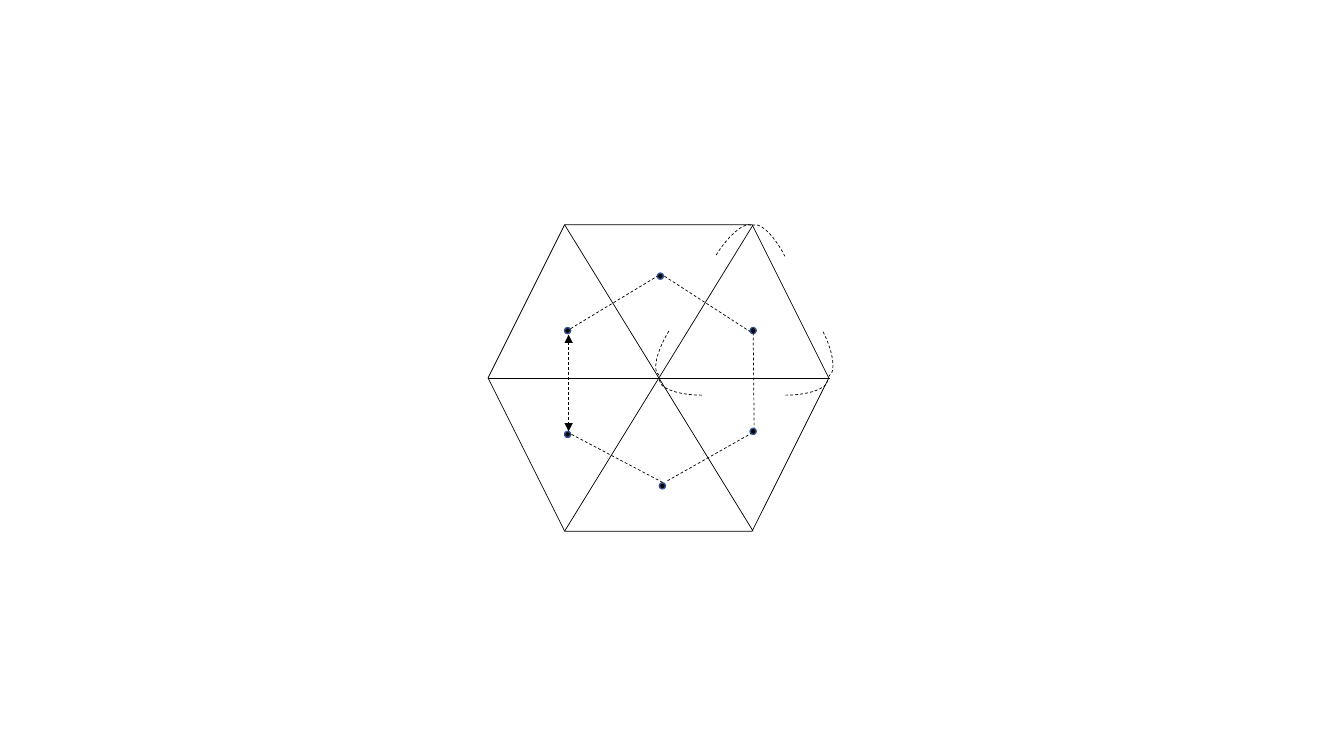
from dataclasses import dataclass

import pptx
import pptx.dml.color
import pptx.enum.dml
import pptx.enum.shapes
import pptx.oxml.ns
import pptx.shapes.autoshape
import pptx.shapes.connector
import pptx.shapes.shapetree
import pptx.util
from lxml import etree

Inches = pptx.util.Inches
Pt = pptx.util.Pt
MSO_SHAPE = pptx.enum.shapes.MSO_SHAPE
BLACK = pptx.dml.color.RGBColor(0x00, 0x00, 0x00)
DOT_EDGE = pptx.dml.color.RGBColor(0x32, 0x54, 0x91)
DOT_SIZE = 0.06
ARC_HEIGHT = 0.3
SECOND_QUADRANT = (107.955, 162.131)


@dataclass(frozen=True)
class Segment:
    x1: float
    y1: float
    x2: float
    y2: float
    dashed: bool = True
    arrows: bool = False


@dataclass(frozen=True)
class Dot:
    left: float
    top: float


@dataclass(frozen=True)
class Arc:
    left: float
    top: float
    width: float
    rotation: float
    second_quadrant: bool = False


DIAGONALS = (
    Segment(8.23, 3.75, 4.84, 3.75, dashed=False),
    Segment(7.47, 2.23, 5.6, 5.27, dashed=False),
    Segment(7.47, 5.27, 5.6, 2.23, dashed=False),
)
CENTROIDS = (
    Dot(6.52, 2.71),
    Dot(5.6, 3.25),
    Dot(5.6, 4.28),
    Dot(6.54, 4.79),
    Dot(7.44, 4.25),
    Dot(7.44, 3.25),
)
ANGLE_ARCS = (
    Arc(7.61, 3.21, 0.84, 63.3),
    Arc(7.23, 2.46, 0.84, 63.3, second_quadrant=True),
    Arc(6.54, 3.62, 0.84, 180),
    Arc(7.37, 3.62, 0.84, 180, second_quadrant=True),
    Arc(6.79, 2.46, 0.88, 302),
    Arc(6.33, 3.2, 0.88, 302, second_quadrant=True),
)
CENTROID_LINKS = (
    Segment(7.47, 3.25, 7.48, 4.25),
    Segment(6.62, 4.77, 7.45, 4.3),
    Segment(5.67, 4.31, 6.58, 4.79),
    Segment(6.59, 2.74, 7.44, 3.29),
    Segment(5.66, 3.26, 6.52, 2.74),
    Segment(5.64, 3.32, 5.64, 4.28, arrows=True),
)


def style_line(
    outlined: pptx.shapes.autoshape.Shape | pptx.shapes.connector.Connector,
    dashed: bool,
) -> None:
    outlined.line.color.rgb = BLACK
    outlined.line.width = Pt(0.5)
    if dashed:
        outlined.line.dash_style = pptx.enum.dml.MSO_LINE.DASH


def draw_segment(shapes: pptx.shapes.shapetree.GroupShapes, segment: Segment) -> None:
    connector = shapes.add_connector(
        pptx.enum.shapes.MSO_CONNECTOR.STRAIGHT,
        Inches(segment.x1),
        Inches(segment.y1),
        Inches(segment.x2),
        Inches(segment.y2),
    )
    style_line(connector, segment.dashed)
    if segment.arrows:
        line_properties = connector.line._get_or_add_ln()
        for end in ("a:headEnd", "a:tailEnd"):
            etree.SubElement(line_properties, pptx.oxml.ns.qn(end), type="triangle")
    etree.SubElement(connector._element.spPr, pptx.oxml.ns.qn("a:effectLst"))


def draw_hexagon(shapes: pptx.shapes.shapetree.GroupShapes) -> None:
    hexagon = shapes.add_shape(
        MSO_SHAPE.HEXAGON, Inches(4.84), Inches(2.23), Inches(3.38), Inches(3.04)
    )
    hexagon.shadow.inherit = False
    hexagon.fill.background()
    style_line(hexagon, dashed=False)


def draw_dot(shapes: pptx.shapes.shapetree.GroupShapes, dot: Dot) -> None:
    centroid = shapes.add_shape(
        MSO_SHAPE.OVAL, Inches(dot.left), Inches(dot.top), Inches(DOT_SIZE), Inches(DOT_SIZE)
    )
    centroid.shadow.inherit = False
    centroid.fill.solid()
    centroid.fill.fore_color.rgb = BLACK
    centroid.line.color.rgb = DOT_EDGE
    centroid.line.width = Pt(1)


def draw_arc(shapes: pptx.shapes.shapetree.GroupShapes, arc: Arc) -> None:
    angle_arc = shapes.add_shape(
        MSO_SHAPE.ARC, Inches(arc.left), Inches(arc.top), Inches(arc.width), Inches(ARC_HEIGHT)
    )
    angle_arc.shadow.inherit = False
    angle_arc.fill.background()
    angle_arc.rotation = arc.rotation
    if arc.second_quadrant:
        angle_arc.adjustments[0], angle_arc.adjustments[1] = SECOND_QUADRANT
    style_line(angle_arc, dashed=True)


def main() -> None:
    presentation = pptx.Presentation()
    presentation.slide_width = Inches(13.33)
    presentation.slide_height = Inches(7.5)
    slide = presentation.slides.add_slide(presentation.slide_layouts[6])
    diagram = slide.shapes.add_group_shape().shapes

    for diagonal in DIAGONALS:
        draw_segment(diagram, diagonal)
    draw_hexagon(diagram)
    for dot in CENTROIDS:
        draw_dot(diagram, dot)
    for arc in ANGLE_ARCS:
        draw_arc(diagram, arc)
    for link in CENTROID_LINKS:
        draw_segment(diagram, link)

    presentation.save("out.pptx")


if __name__ == "__main__":
    main()
